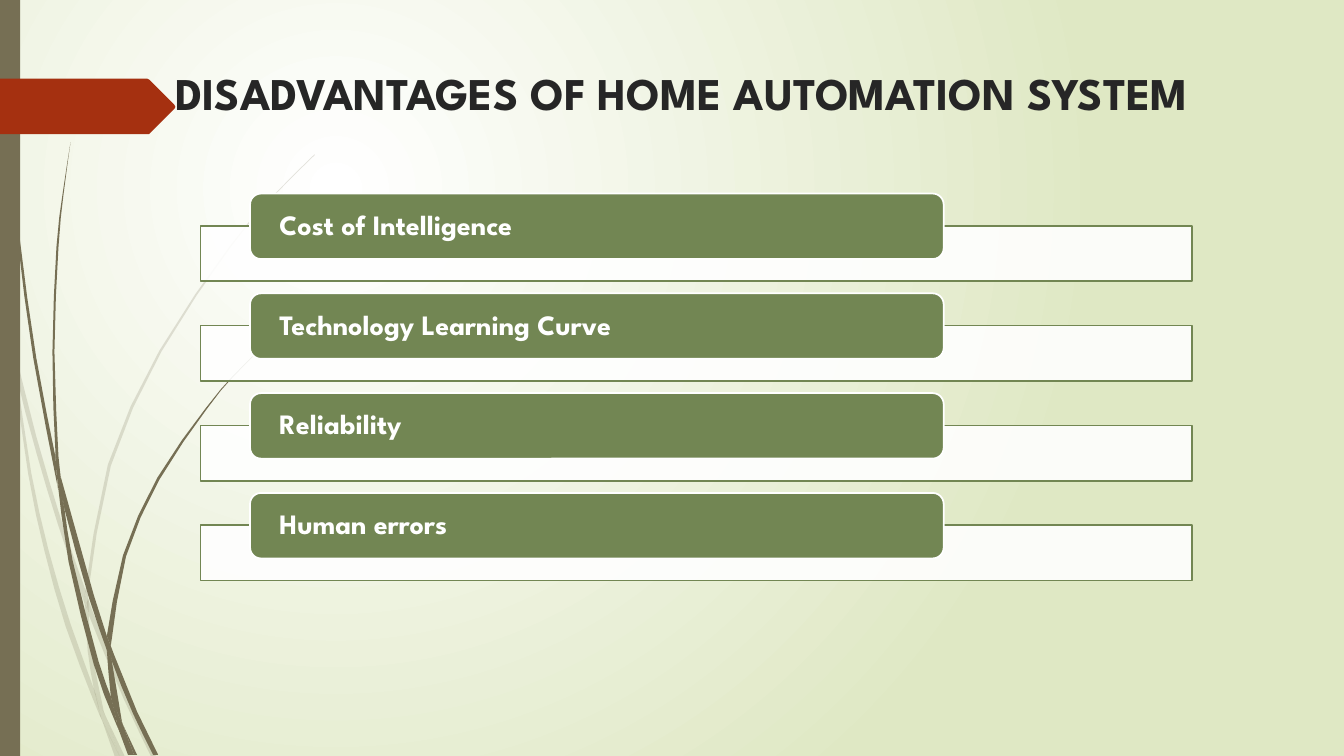
"""Build the slide on the disadvantages of a home automation system."""
from dataclasses import dataclass

import lxml.etree
import pptx
import pptx.dml.color
import pptx.enum.shapes
import pptx.enum.text
import pptx.oxml
import pptx.oxml.ns
import pptx.util

Inches = pptx.util.Inches
Point = tuple[float, float]

FONT = "League Spartan"
BROWN, GREEN, RED = "766F54", "728653", "A53010"
WHITE, PALE_GREEN, INK = "FFFFFF", "DFE8C4", "262626"

DISADVANTAGES = ("Cost of Intelligence", "Technology Learning Curve", "Reliability", "Human errors")
FIRST_TOP = 1.92
ROW_PITCH = 0.99


@dataclass(frozen=True)
class Blade:
    """A piece of grass between two edges, each running from top to bottom."""
    left: tuple[Point, ...]
    right: tuple[Point, ...]


PALE_BLADES = (
    Blade(((0, 2.82), (0, 2.99), (0.1, 3.44), (0.11, 3.5)), ((0.09, 3.22),)),
    Blade(((0.14, 3.45), (0.17, 3.76), (0.36, 4.49), (0.58, 5.22), (0.84, 5.99)),
          ((0.14, 3.45), (0.36, 4.33), (0.62, 5.2), (0.85, 5.86))),
    Blade(((0.88, 5.96), (0.88, 6.1), (1.23, 6.94), (1.5, 7.51)),
          ((0.92, 6.07), (1.27, 6.92), (1.55, 7.51))),
    Blade(((1.05, 7.11), (1.19, 7.51)), ((1.05, 7.11), (1.24, 7.51))),
    Blade(((0.11, 3.5), (0.28, 4.7), (0.44, 5.46), (0.65, 6.21), (0.92, 6.93), (1.01, 7.14)),
          ((0.11, 3.5), (0.17, 3.76), (0.31, 4.69), (0.48, 5.45), (0.7, 6.19), (0.93, 6.83), (0.99, 7.07))),
    Blade(((0.84, 5.99), (0.87, 6.46), (0.93, 6.83), (0.96, 6.92), (1.05, 7.11)),
          ((0.84, 5.99), (0.88, 6.1), (0.91, 6.46), (1.03, 7.06))),
    Blade(((3.12, 1.53), (2.68, 1.97), (2.28, 2.44), (1.58, 3.48), (1.07, 4.61), (0.85, 5.84), (0.85, 5.86)),
          ((3.12, 1.54), (2.68, 1.98), (2.29, 2.45), (1.6, 3.49), (1.1, 4.62), (0.88, 5.84), (0.88, 5.96))),
    Blade(((1.01, 7.14), (1.14, 7.51)), ((1.01, 7.14), (1.19, 7.51))),
    Blade(((0.85, 5.86), (0.84, 5.99), (0.88, 6.08)), ((0.88, 5.96), (0.88, 6.1))),
    Blade(((0.93, 6.83), (0.99, 7.07), (1.01, 7.14), (1.19, 7.51)),
          ((0.96, 6.92), (1.05, 7.11), (1.19, 7.51))),
)
DARK_BLADES = (
    Blade(((0.03, 0), (0.04, 0.48), (0.07, 1.1), (0.17, 2.33), (0.33, 3.55), (0.56, 4.77), (0.57, 4.81)),
          ((0.04, 0), (0.05, 0.48), (0.08, 1.09), (0.19, 2.32), (0.36, 3.55), (0.55, 4.53))),
    Blade(((0.6, 4.72), (0.64, 5.05), (0.88, 5.92), (1.06, 6.45)), ((0.6, 4.72), (0.93, 5.9), (1.06, 6.31))),
    Blade(((1.1, 6.41), (1.11, 6.56), (1.32, 7.08), (1.52, 7.49)),
          ((1.13, 6.49), (1.36, 7.06), (1.57, 7.49))),
    Blade(((0.57, 4.77), (0.68, 5.57), (0.93, 6.59), (1.11, 7.08), (1.17, 7.22)),
          ((0.57, 4.77), (0.64, 5.05), (0.72, 5.56), (0.98, 6.57), (1.1, 6.91), (1.16, 7.17))),
    Blade(((0.7, 1.41), (0.62, 1.93), (0.56, 2.45), (0.52, 3.49), (0.55, 4.49), (0.6, 4.72)),
          ((0.7, 1.41), (0.63, 1.93), (0.58, 2.45), (0.54, 3.49), (0.58, 4.53))),
    Blade(((1.22, 7.19), (1.33, 7.49)), ((1.22, 7.19), (1.36, 7.49))),
    Blade(((0.55, 4.49), (0.55, 4.53), (0.57, 4.77), (0.64, 5.05)), ((0.55, 4.49), (0.6, 4.72))),
    Blade(((2.6, 3.44), (2.31, 3.73), (2.04, 4.05), (1.56, 4.74), (1.22, 5.51), (1.06, 6.31)),
          ((2.61, 3.44), (2.31, 3.74), (2.05, 4.06), (1.58, 4.76), (1.25, 5.52), (1.11, 6.33), (1.1, 6.41))),
    Blade(((1.17, 7.22), (1.27, 7.49)), ((1.17, 7.22), (1.31, 7.49))),
    Blade(((1.06, 6.45), (1.1, 6.91), (1.16, 7.06), (1.22, 7.19)),
          ((1.06, 6.45), (1.09, 6.51), (1.11, 6.56), (1.21, 7.16))),
    Blade(((1.06, 6.31), (1.06, 6.45), (1.09, 6.51), (1.11, 6.56)), ((1.06, 6.31), (1.1, 6.41))),
    Blade(((1.1, 6.91), (1.16, 7.17), (1.17, 7.22), (1.3, 7.49)),
          ((1.16, 7.06), (1.22, 7.19), (1.33, 7.49))),
)
RED_ARROW = ((0, 0.78), (1.46, 0.78), (1.48, 0.79), (1.73, 1.04), (1.74, 1.06), (1.73, 1.08),
             (1.48, 1.33), (0, 1.33))


def colour(value: str) -> pptx.dml.color.RGBColor:
    """Turn a hex string into a colour."""
    return pptx.dml.color.RGBColor.from_string(value)


def smooth(points: tuple[Point, ...]) -> list[Point]:
    """Add a point halfway along the curve between each pair of inner neighbours."""
    padded = (points[0], *points, points[-1])
    curve = [points[0]]
    for before, start, end, after in zip(padded, padded[1:], padded[2:], padded[3:]):
        if len(points) > 3:
            curve.append(tuple((9 * (b + c) - a - d) / 16 for a, b, c, d in zip(before, start, end, after)))
        curve.append(end)
    return curve


def paint(shape, fill: str, line: str | None = None, opacity: int = 100) -> None:
    """Give a shape its fill and line, without a shadow."""
    shape.shadow.inherit = False
    shape.fill.solid()
    shape.fill.fore_color.rgb = colour(fill)
    if opacity < 100:
        tint = shape.fill._xPr.find(".//" + pptx.oxml.ns.qn("a:srgbClr"))
        lxml.etree.SubElement(tint, pptx.oxml.ns.qn("a:alpha")).set("val", str(opacity * 1000))
    if line is None:
        shape.line.fill.background()
    else:
        shape.line.color.rgb = colour(line)
        shape.line.width = pptx.util.Pt(1.25)


def add_outline(page, points: list[Point], fill: str, opacity: int = 100) -> None:
    """Draw a closed, filled outline."""
    corners = [(Inches(x), Inches(y)) for x, y in points]
    builder = page.shapes.build_freeform(*corners[0])
    builder.add_line_segments(corners[1:], close=True)
    paint(builder.convert_to_shape(), fill, opacity=opacity)


def add_box(page, kind: str, left: float, top: float, width: float, height: float,
            fill: str, line: str | None = None, opacity: int = 100):
    """Draw a preset shape."""
    preset = getattr(pptx.enum.shapes.MSO_SHAPE, kind)
    box = page.shapes.add_shape(preset, Inches(left), Inches(top), Inches(width), Inches(height))
    paint(box, fill, line, opacity)
    return box


def write(box, text: str, size: float, ink: str, anchor: str) -> None:
    """Write one bold, left-aligned line of text."""
    frame = box.text_frame
    frame.word_wrap = True
    frame.auto_size = pptx.enum.text.MSO_AUTO_SIZE.NONE
    frame.vertical_anchor = getattr(pptx.enum.text.MSO_ANCHOR, anchor)
    para = frame.paragraphs[0]
    para.alignment = pptx.enum.text.PP_ALIGN.LEFT
    span = para.add_run()
    span.text = text
    span.font.name = FONT
    span.font.size = pptx.util.Pt(size)
    span.font.bold = True
    span.font.color.rgb = colour(ink)


def set_background(page) -> None:
    """Fill the page with a circular gradient."""
    fill = page.background.fill
    fill.gradient()
    for stop, value, position in zip(fill.gradient_stops, (WHITE, PALE_GREEN), (0, 1)):
        stop.color.rgb = colour(value)
        stop.position = position
    linear = page.background._cSld.find(".//" + pptx.oxml.ns.qn("a:lin"))
    linear.getparent().replace(linear, pptx.oxml.parse_xml(
        f'<a:path {pptx.oxml.ns.nsdecls("a")} path="circle">'
        '<a:fillToRect l="50000" t="50000" r="100000" b="100000"/></a:path>'))


def add_title(page) -> None:
    """Place and fill the title."""
    title = page.shapes.title
    title.left, title.top = Inches(1.64), Inches(0.6)
    title.width, title.height = Inches(10.95), Inches(1.48)
    write(title, "DISADVANTAGES OF HOME AUTOMATION SYSTEM", 32.4, INK, "TOP")


def add_disadvantage(page, text: str, top: float) -> None:
    """Draw one green label over its white band."""
    add_box(page, "RECTANGLE", 1.99, top + 0.32, 9.83, 0.55, WHITE, GREEN, 90)
    label = add_box(page, "ROUNDED_RECTANGLE", 2.48, top, 6.88, 0.65, GREEN, WHITE)
    write(label, text, 20, WHITE, "MIDDLE")
    frame = label.text_frame
    frame.margin_left = frame.margin_right = Inches(0.26)
    frame.margin_top = frame.margin_bottom = 0
    frame.paragraphs[0].line_spacing = 0.9


def main() -> None:
    """Build and save the deck."""
    deck = pptx.Presentation()
    deck.slide_width, deck.slide_height = Inches(13.33), Inches(7.5)
    page = deck.slides.add_slide(deck.slide_layouts.get_by_name("Title Only"))
    set_background(page)
    for blades, opacity in ((PALE_BLADES, 20), (DARK_BLADES, 100)):
        for blade in blades:
            add_outline(page, smooth(blade.left) + smooth(blade.right)[::-1], BROWN, opacity)
    add_box(page, "RECTANGLE", 0, 0, 0.2, 7.5, BROWN)
    add_outline(page, list(RED_ARROW), RED)
    add_title(page)
    for row, text in enumerate(DISADVANTAGES):
        add_disadvantage(page, text, FIRST_TOP + row * ROW_PITCH)
    deck.save("out.pptx")


if __name__ == "__main__":
    main()
